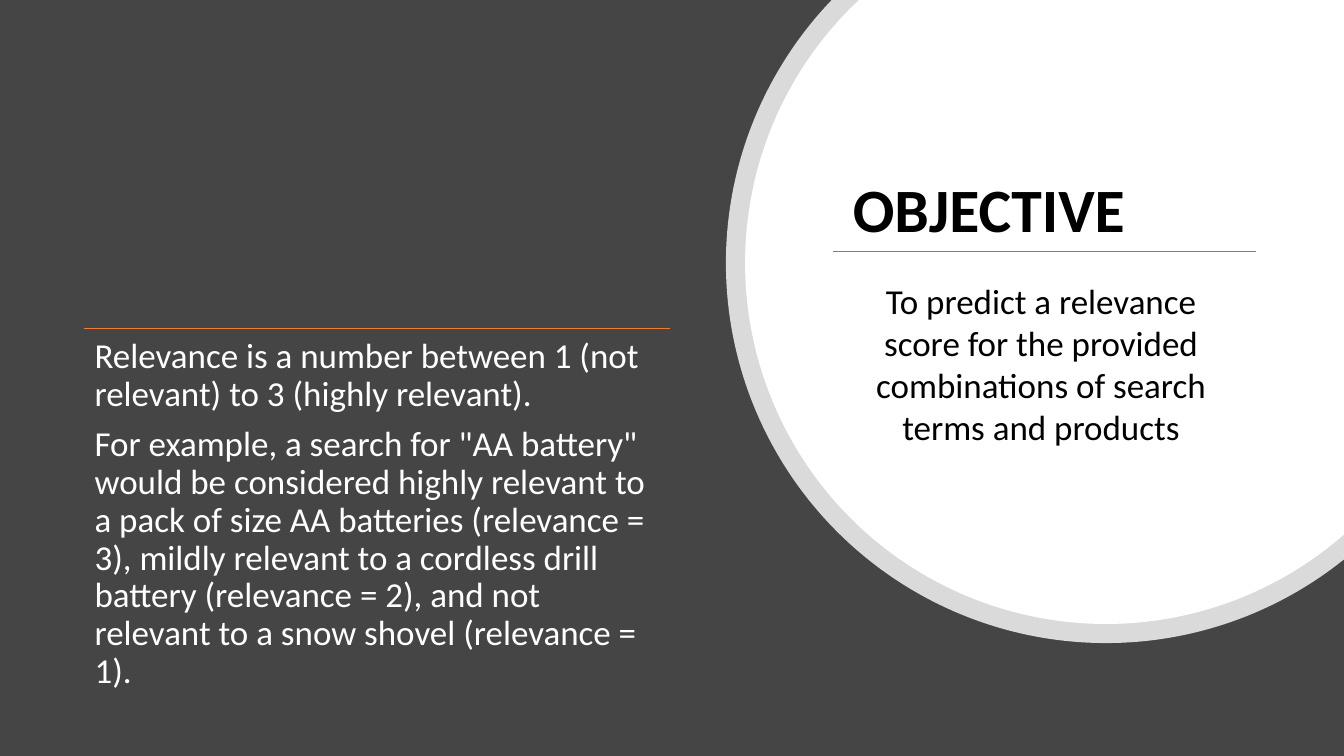
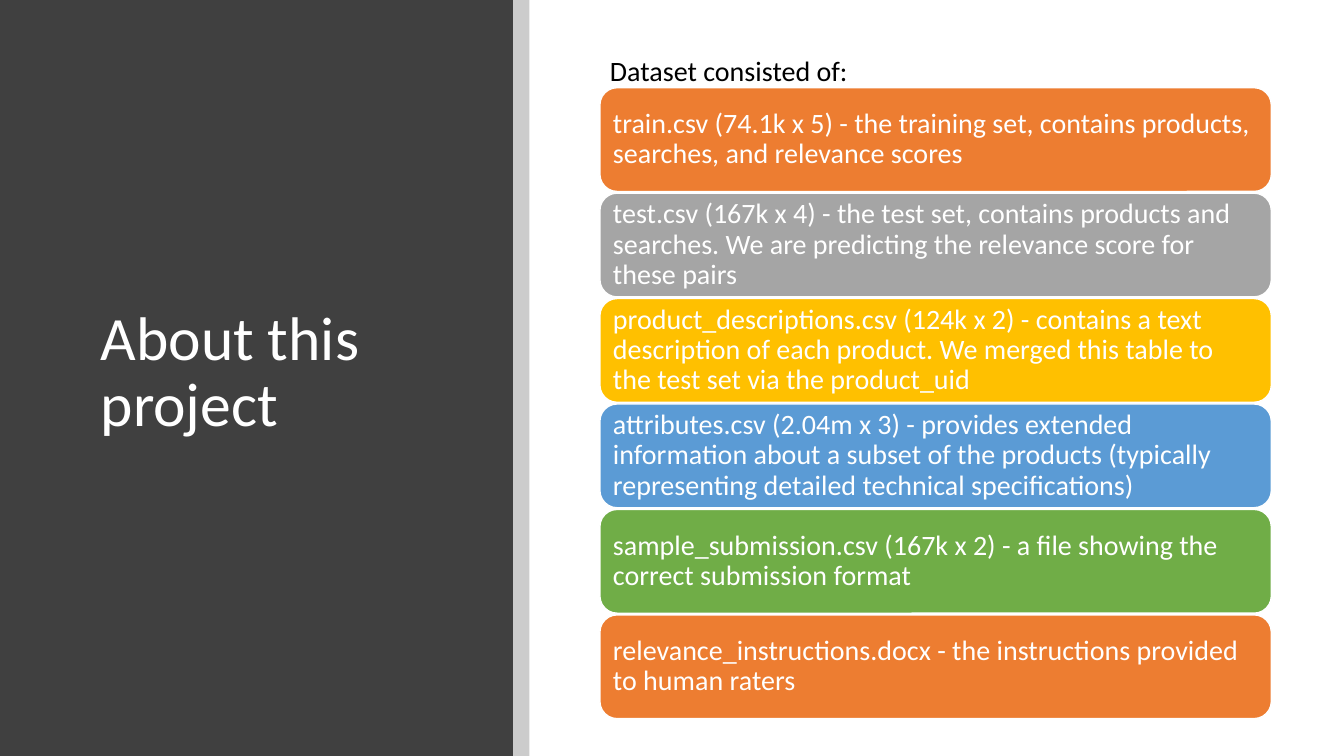
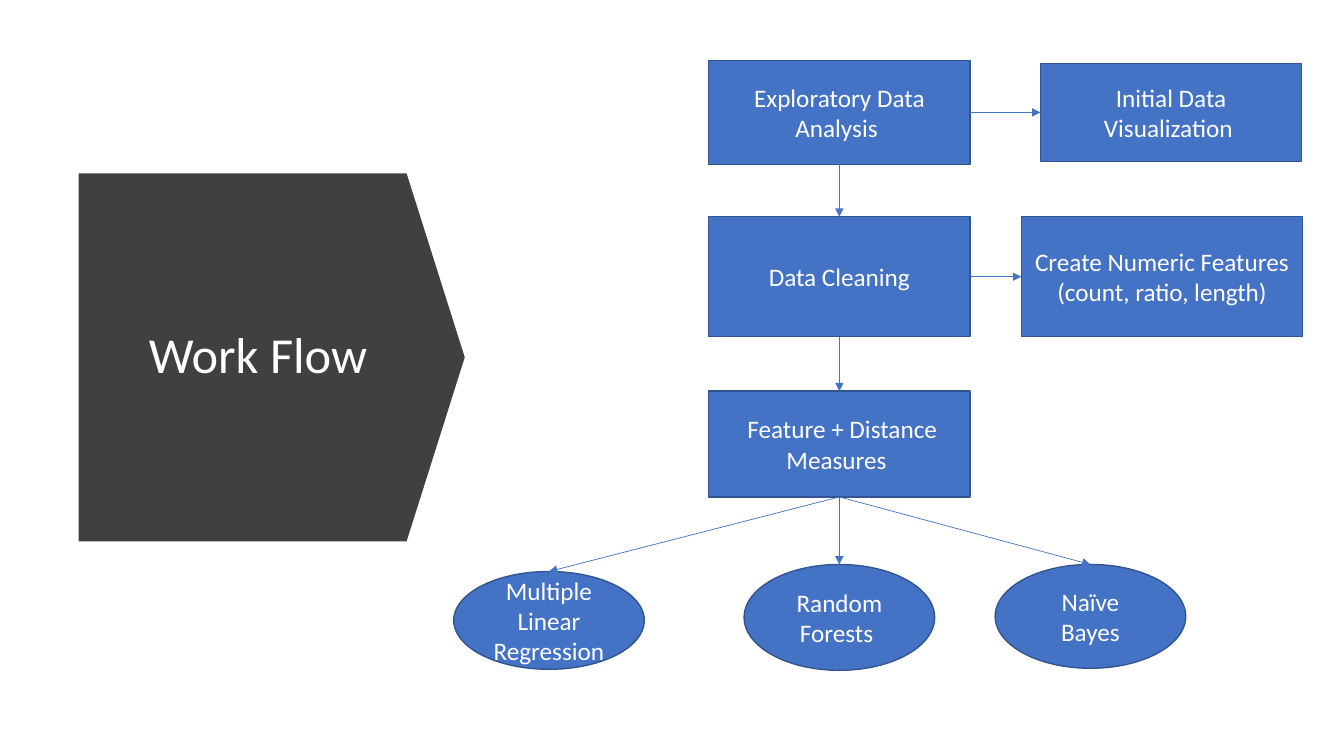
"""Build three slides on a search relevance project: objective, dataset and work flow."""
from math import acos, asin, cos, degrees, radians, sin

from lxml.etree import Element, SubElement
from pptx import Presentation
from pptx.dml.color import RGBColor
from pptx.enum.shapes import MSO_CONNECTOR, MSO_SHAPE as Shape
from pptx.enum.text import MSO_ANCHOR as Anchor, PP_ALIGN as Align
from pptx.oxml.ns import qn
from pptx.util import Inches, Pt

FONT = "Calibri"
WIDTH, HEIGHT = 13.33, 7.5
TIGHT = 0.9
COLORS = {
    "white": "FFFFFF", "black": "000000", "backdrop": "454545", "panel": "404040",
    "ring": "DADADA", "strip": "CCCCCC", "rule": "7F7F7F", "orange": "ED7D31",
    "gray": "A5A5A5", "gold": "FFC000", "sky": "5B9BD5", "green": "70AD47",
    "blue": "4472C4", "navy": "325491",
}

RELEVANCE = [
    "Relevance is a number between 1 (not relevant) to 3 (highly relevant).",
    'For example, a search for "AA battery" would be considered highly relevant to a pack '
    "of size AA batteries (relevance = 3), mildly relevant to a cordless drill battery "
    "(relevance = 2), and not relevant to a snow shovel (relevance = 1).",
]
OBJECTIVE = ("To predict a relevance score for the provided combinations of search terms "
             "and products")
CIRCLE_CENTER = (10.97, 2.61)
CIRCLES = [(3.77, "ring"), (3.58, "white")]

FILES = [
    ("train.csv (74.1k x 5) - the training set, contains products, searches, and "
     "relevance scores", "orange"),
    ("test.csv (167k x 4) - the test set, contains products and searches. We are "
     "predicting the relevance score for these pairs", "gray"),
    ("product_descriptions.csv (124k x 2) - contains a text description of each product. "
     "We merged this table to the test set via the product_uid", "gold"),
    ("attributes.csv (2.04m x 3) - provides extended information about a subset of the "
     "products (typically representing detailed technical specifications)", "sky"),
    ("sample_submission.csv (167k x 2) - a file showing the correct submission format",
     "green"),
    ("relevance_instructions.docx - the instructions provided to human raters", "orange"),
]
FILE_LEFT, FIRST_TOP, LAST_TOP = 5.95, 0.87, 6.1

STEPS = {
    "explore": ("Exploratory Data Analysis ", Shape.RECTANGLE, (7.03, 0.6, 2.59, 1.03)),
    "visualize": ("Initial Data Visualization ", Shape.RECTANGLE, (10.32, 0.63, 2.59, 0.97)),
    "clean": ("Data Cleaning", Shape.RECTANGLE, (7.03, 2.15, 2.59, 1.19)),
    "numeric": ("Create Numeric Features (count, ratio, length)", Shape.RECTANGLE,
                (10.13, 2.15, 2.79, 1.19)),
    "measure": (" Feature + Distance Measures ", Shape.RECTANGLE, (7.03, 3.88, 2.59, 1.05)),
    "regression": ("Multiple Linear Regression", Shape.OVAL, (4.5, 5.67, 1.89, 0.97)),
    "forests": ("Random Forests ", Shape.OVAL, (7.38, 5.6, 1.89, 1.05)),
    "bayes": ("Naïve Bayes", Shape.OVAL, (9.87, 5.6, 1.89, 1.03)),
}
TOP, LEFT, BOTTOM, RIGHT = range(4)
ARROWS = [
    ("explore", RIGHT, "visualize", LEFT), ("clean", RIGHT, "numeric", LEFT),
    ("explore", BOTTOM, "clean", TOP), ("clean", BOTTOM, "measure", TOP),
    ("measure", BOTTOM, "regression", TOP), ("measure", BOTTOM, "forests", TOP),
    ("measure", BOTTOM, "bayes", TOP),
]


def rgb(name):
    return RGBColor.from_string(COLORS[name])


def add_slide(presentation, background):
    slide = presentation.slides.add_slide(presentation.slide_layouts[6])
    slide.background.fill.solid()
    slide.background.fill.fore_color.rgb = rgb(background)
    return slide


def paint(shape, fill, line=None):
    shape.shadow.inherit = False
    shape.fill.solid()
    shape.fill.fore_color.rgb = rgb(fill)
    if line:
        shape.line.color.rgb = rgb(line)
        shape.line.width = Pt(1)
    else:
        shape.line.fill.background()


def write(shape, texts, size, color="white", align=Align.LEFT, anchor=Anchor.MIDDLE,
          bold=False, spacing=1.0, after=0):
    frame = shape.text_frame
    frame.word_wrap = True
    frame.vertical_anchor = anchor
    for index, text in enumerate(texts):
        paragraph = frame.add_paragraph() if index else frame.paragraphs[0]
        paragraph.text = text
        paragraph.alignment = align
        paragraph.line_spacing = spacing
        paragraph.space_after = Pt(after)
        font = paragraph.font
        font.name, font.size, font.bold = FONT, Pt(size), bold
        font.color.rgb = rgb(color)


def add_shape(slide, kind, box, fill, line=None):
    shape = slide.shapes.add_shape(kind, *map(Inches, box))
    paint(shape, fill, line)
    return shape


def add_text(slide, box, texts, size, **style):
    textbox = slide.shapes.add_textbox(*map(Inches, box))
    write(textbox, texts, size, **style)
    return textbox


def add_title(slide, box, text, size=44, **style):
    add_text(slide, box, [text], size, spacing=TIGHT, **style)


def add_line(slide, color, start=(0, 0), end=(0, 0)):
    line = slide.shapes.add_connector(MSO_CONNECTOR.STRAIGHT, *map(Inches, start + end))
    line.line.color.rgb = rgb(color)
    line.line.width = Pt(0.5)
    SubElement(line._element.spPr, qn("a:effectLst"))
    return line


def add_clipped_circle(slide, center, radius, fill):
    """Draw the part of a circle inside the top right corner of the slide."""
    center_x, center_y = center
    right_edge = degrees(acos((WIDTH - center_x) / radius))
    top_edge = 180 + degrees(asin(center_y / radius))
    angles = [right_edge, 90, 180, top_edge]
    points = [(Inches(center_x + radius * cos(radians(angle))),
               Inches(center_y + radius * sin(radians(angle)))) for angle in angles]
    builder = slide.shapes.build_freeform(*points[0])
    builder.add_line_segments(points[1:] + [(Inches(WIDTH), 0)], close=True)
    shape = builder.convert_to_shape()
    sides = list(shape._element.iter(qn("a:lnTo")))
    for side, start, end in zip(sides, angles, angles[1:]):
        arc = Element(qn("a:arcTo"), wR=str(Inches(radius)), hR=str(Inches(radius)),
                      stAng=str(round(start * 60000)),
                      swAng=str(round((end - start) * 60000)))
        side.getparent().replace(side, arc)
    paint(shape, fill)


def build_objective(presentation):
    slide = add_slide(presentation, "backdrop")
    for radius, fill in CIRCLES:
        add_clipped_circle(slide, CIRCLE_CENTER, radius, fill)
    add_line(slide, "orange", (0.83, 3.26), (6.65, 3.26))
    body = add_text(slide, (0.84, 3.26, 5.81, 3.7), RELEVANCE, 25, anchor=Anchor.TOP,
                    spacing=TIGHT, after=8.75)
    body.text_frame.margin_top = Inches(0.1)
    add_title(slide, (8.36, 1.38, 4.2, 1.45), "OBJECTIVE", color="black", bold=True)
    add_line(slide, "rule", (8.26, 2.49), (12.46, 2.49))
    add_text(slide, (8.36, 2.72, 3.93, 2.09), [OBJECTIVE], 25, color="black",
             align=Align.CENTER, anchor=Anchor.TOP)


def build_dataset(presentation):
    slide = add_slide(presentation, "white")
    add_shape(slide, Shape.RECTANGLE, (0, 0, 5.09, HEIGHT), "panel")
    add_title(slide, (0.9, 0.75, 3.65, 5.91), "About this project")
    add_shape(slide, Shape.RECTANGLE, (5.09, 0, 0.16, HEIGHT), "strip")
    pitch = (LAST_TOP - FIRST_TOP) / (len(FILES) - 1)
    for row, (text, fill) in enumerate(FILES):
        box = (FILE_LEFT, FIRST_TOP + row * pitch, 6.66, 1.03)
        card = add_shape(slide, Shape.ROUNDED_RECTANGLE, box, fill, "white")
        frame = card.text_frame
        frame.margin_left = frame.margin_right = Inches(0.08)
        write(card, [text], 20, spacing=TIGHT)
    add_text(slide, (FILE_LEFT, 0.48, 2.61, 0.74), ["Dataset consisted of:"], 20,
             color="black", anchor=Anchor.TOP)


def build_work_flow(presentation):
    slide = add_slide(presentation, "white")
    banner = add_shape(slide, Shape.PENTAGON, (0.78, 1.72, 3.83, 3.65), "panel")
    banner.adjustments[0] = 0.158
    add_title(slide, (1.12, 2.15, 2.88, 2.79), "Work Flow", 36, align=Align.CENTER)
    steps = {}
    for name, (text, kind, box) in STEPS.items():
        steps[name] = add_shape(slide, kind, box, "blue", "navy")
        write(steps[name], [text], 18, align=Align.CENTER)
    for source, source_side, target, target_side in ARROWS:
        arrow = add_line(slide, "blue")
        arrow.begin_connect(steps[source], source_side)
        arrow.end_connect(steps[target], target_side)
        SubElement(arrow.line._get_or_add_ln(), qn("a:tailEnd"), type="triangle")


def main():
    presentation = Presentation()
    presentation.slide_width, presentation.slide_height = Inches(WIDTH), Inches(HEIGHT)
    build_objective(presentation)
    build_dataset(presentation)
    build_work_flow(presentation)
    presentation.save("out.pptx")


if __name__ == "__main__":
    main()
